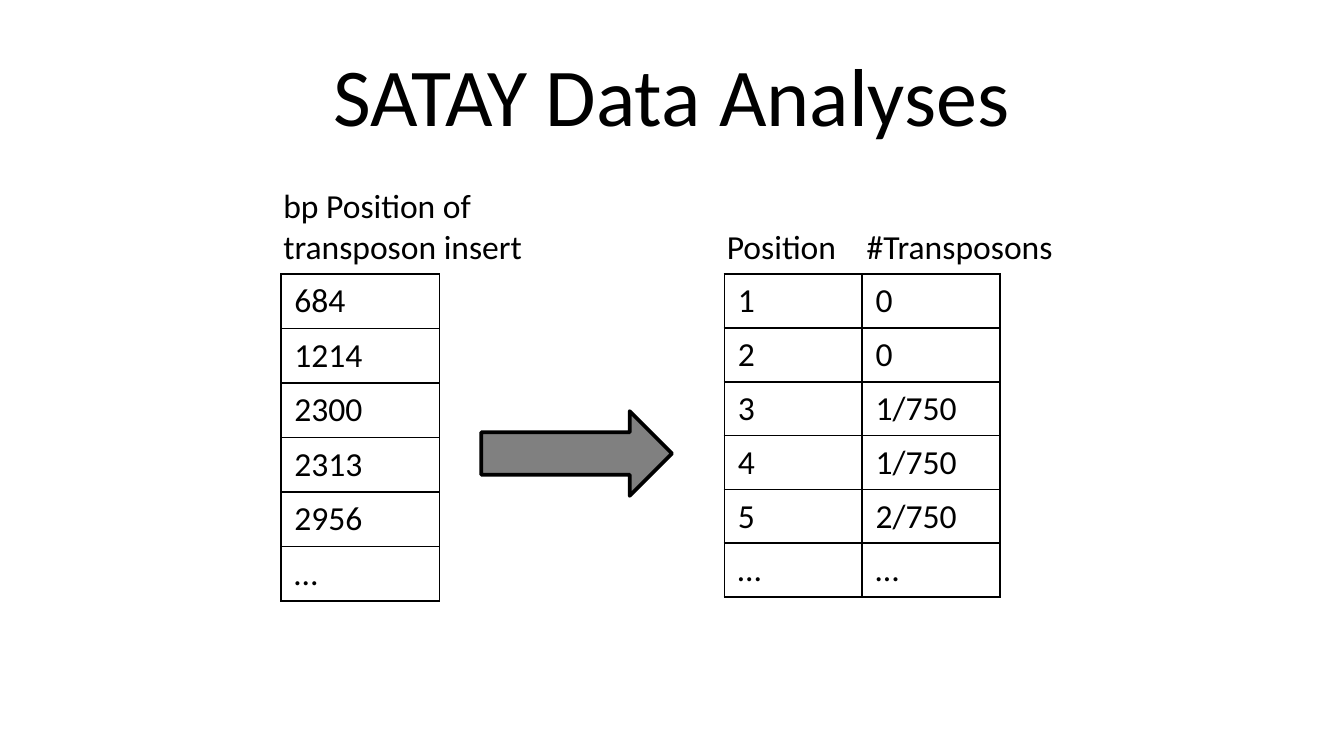
import pptx
import pptx.dml.color
import pptx.enum.shapes
import pptx.enum.text
import pptx.oxml.ns
import pptx.util
from dataclasses import dataclass
from lxml import etree

Inches, Pt = pptx.util.Inches, pptx.util.Pt
Color = pptx.dml.color.RGBColor.from_string
qn = pptx.oxml.ns.qn


@dataclass(frozen=True)
class Theme:
    font: str = "Calibri"
    ink: str = "000000"
    paper: str = "FFFFFF"
    arrow: str = "808080"
    head: int = 44
    body: int = 18
    rule: int = 1
    edge: int = 2


THEME = Theme()


def style(para, size):
    para.font.name = THEME.font
    para.font.size = Pt(size)
    para.font.color.rgb = Color(THEME.ink)


def border(cell):
    props = cell._tc.get_or_add_tcPr()
    for i, side in enumerate(("lnL", "lnR", "lnT", "lnB")):
        line = etree.Element(qn("a:" + side), w=str(Pt(THEME.rule)))
        fill = etree.SubElement(line, qn("a:solidFill"))
        etree.SubElement(fill, qn("a:srgbClr"), val=THEME.ink)
        props.insert(i, line)


def title(slide, text, box):
    shape = slide.shapes.title
    shape.left, shape.top, shape.width, shape.height = map(Inches, box)
    frame = shape.text_frame
    frame.text = text
    frame.vertical_anchor = pptx.enum.text.MSO_ANCHOR.MIDDLE
    para = frame.paragraphs[0]
    para.alignment = pptx.enum.text.PP_ALIGN.CENTER
    style(para, THEME.head)


def label(slide, text, box, tab=None):
    frame = slide.shapes.add_textbox(*map(Inches, box)).text_frame
    frame.word_wrap = True
    frame.auto_size = pptx.enum.text.MSO_AUTO_SIZE.SHAPE_TO_FIT_TEXT
    frame.text = text
    para = frame.paragraphs[0]
    # Tab stop that starts the second column heading
    if tab:
        stops = etree.SubElement(para._p.get_or_add_pPr(), qn("a:tabLst"))
        etree.SubElement(stops, qn("a:tab"), pos=str(Inches(tab)), algn="l")
    style(para, THEME.body)


def grid(slide, rows, box):
    left, top, width, height = map(Inches, box)
    count = len(rows[0])
    table = slide.shapes.add_table(
        len(rows), count, left, top, width, height).table
    table.first_row = table.horz_banding = False
    for col in table.columns:
        col.width = width // count
    for row, texts in zip(table.rows, rows):
        row.height = height // len(rows)
        for cell, text in zip(row.cells, texts):
            cell.text = text
            cell.fill.solid()
            cell.fill.fore_color.rgb = Color(THEME.paper)
            border(cell)
            style(cell.text_frame.paragraphs[0], THEME.body)


def arrow(slide, box):
    kind = pptx.enum.shapes.MSO_SHAPE.RIGHT_ARROW
    shape = slide.shapes.add_shape(kind, *map(Inches, box))
    shape.shadow.inherit = False
    shape.fill.solid()
    shape.fill.fore_color.rgb = Color(THEME.arrow)
    shape.line.color.rgb = Color(THEME.ink)
    shape.line.width = Pt(THEME.edge)


def main():
    # Widescreen, 16 to 9
    deck = pptx.Presentation()
    deck.slide_width = Inches(10)
    deck.slide_height = Inches(10) * 9 // 16
    slide = deck.slides.add_slide(deck.slide_layouts[5])
    title(slide, "SATAY Data Analyses", (0.5, 0.23, 9, 0.94))

    # Insert sites
    sites = ["684", "1214", "2300", "2313", "2956", "…"]
    grid(slide, [[site] for site in sites], (2.09, 2.04, 1.18, 2.43))
    label(slide, "bp Position of transposon insert", (2.01, 1.33, 2.2, 0.71))

    # Transposons at each position
    counts = ["0", "0", "1/750", "1/750", "2/750", "…"]
    places = ["1", "2", "3", "4", "5", "…"]
    grid(slide, list(zip(places, counts)), (5.39, 2.04, 2.05, 2.4))
    label(slide, "Position\t#Transposons", (5.31, 1.63, 3.23, 0.4), tab=1.04)

    # From sites to counts
    arrow(slide, (3.58, 3.06, 1.42, 0.63))
    deck.save("out.pptx")


if __name__ == "__main__":
    main()
